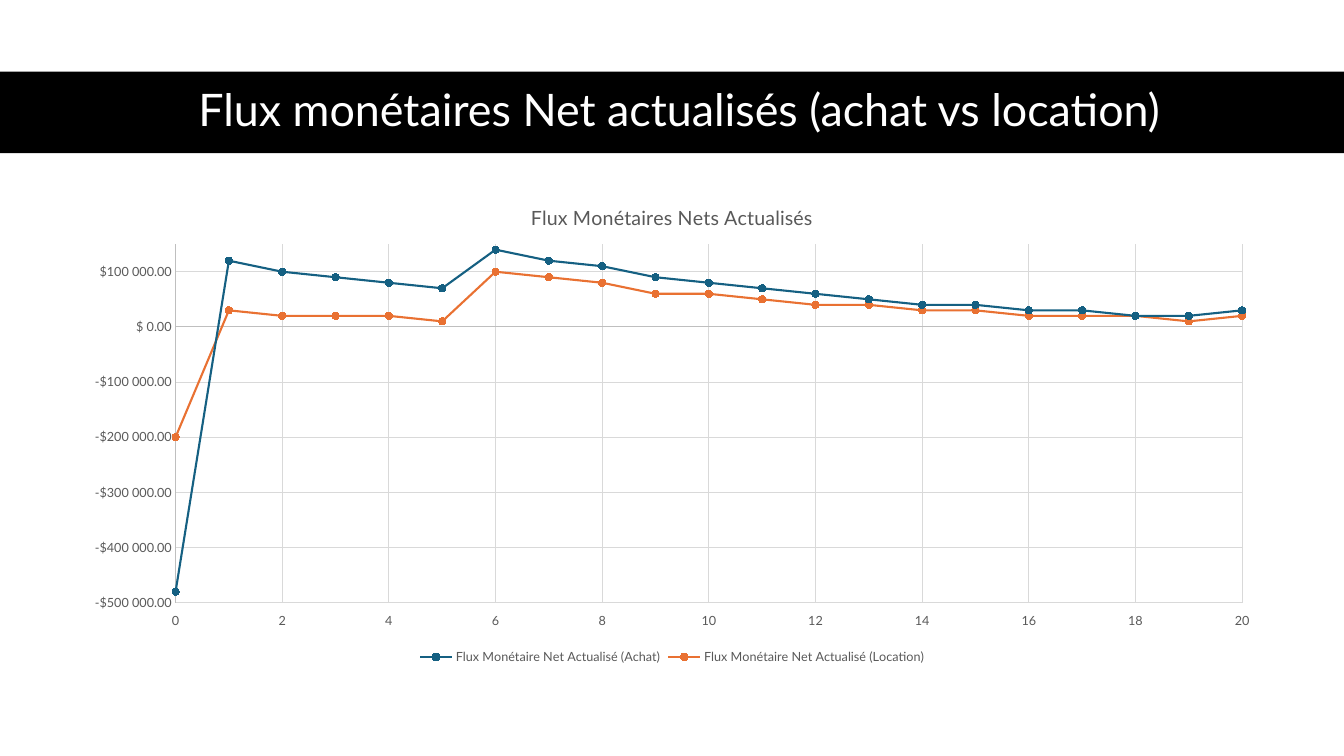
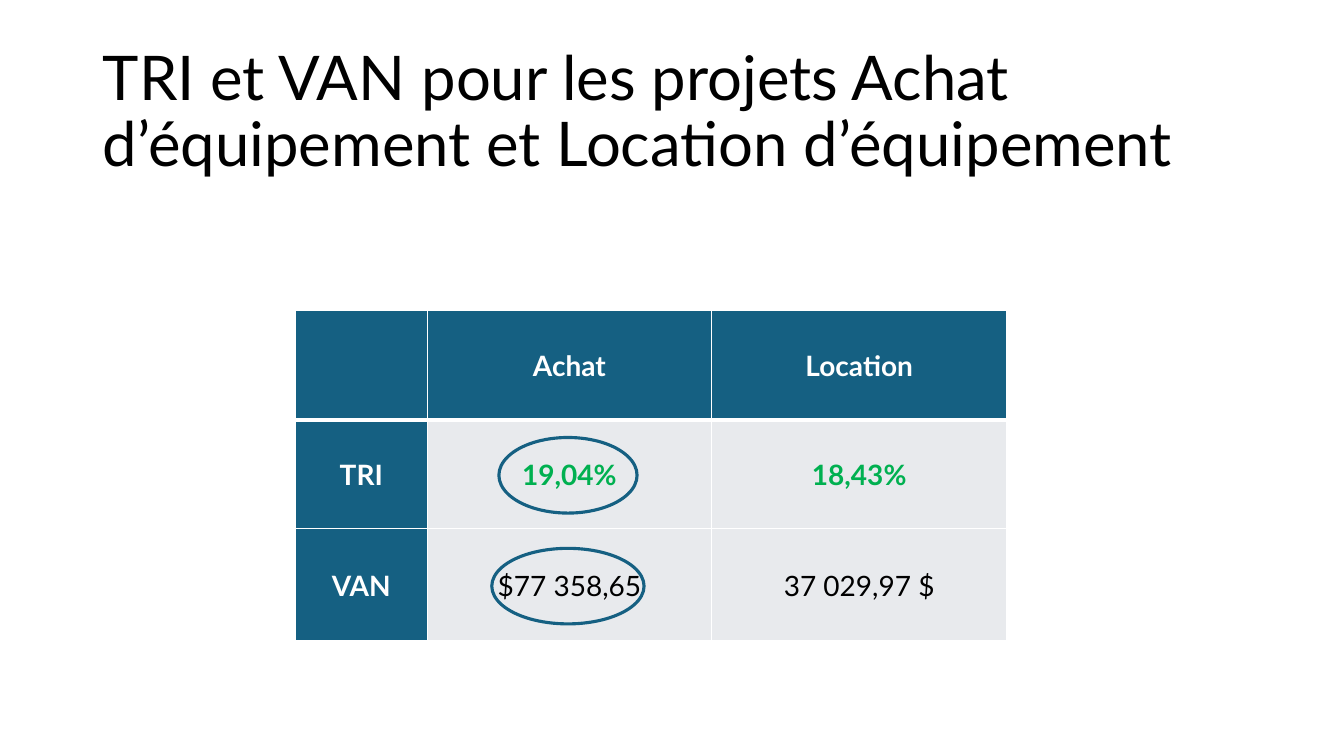
from dataclasses import dataclass

from lxml.etree import SubElement
from pptx import Presentation
from pptx.chart.data import XyChartData
from pptx.dml.color import RGBColor
from pptx.enum.chart import (XL_CHART_TYPE, XL_LEGEND_POSITION, XL_MARKER_STYLE,
                             XL_TICK_LABEL_POSITION, XL_TICK_MARK)
from pptx.enum.shapes import MSO_SHAPE
from pptx.enum.text import MSO_ANCHOR, PP_ALIGN
from pptx.oxml import parse_xml
from pptx.oxml.ns import nsdecls, qn
from pptx.util import Inches, Pt

SLIDE_WIDTH = Inches(13.33)
SLIDE_HEIGHT = Inches(7.5)
FONT = "Lato"
BLACK = RGBColor(0x00, 0x00, 0x00)
WHITE = RGBColor(0xFF, 0xFF, 0xFF)
BLUE = RGBColor(0x15, 0x60, 0x82)
ORANGE = RGBColor(0xE9, 0x71, 0x32)
GREEN = RGBColor(0x00, 0xB0, 0x50)
PALE = RGBColor(0xE8, 0xEA, 0xED)
GRAY = RGBColor(0x59, 0x59, 0x59)
AXIS_GRAY = RGBColor(0xBF, 0xBF, 0xBF)
GRID_GRAY = RGBColor(0xD9, 0xD9, 0xD9)
MONEY_FORMAT = '"$"# ##0.00;-"$"# ##0.00'


@dataclass(frozen=True)
class Box:
    """Position and size in percent of the slide."""
    left: float
    top: float
    width: float
    height: float

    def lengths(self) -> tuple:
        return (int(SLIDE_WIDTH * self.left / 100), int(SLIDE_HEIGHT * self.top / 100),
                int(SLIDE_WIDTH * self.width / 100), int(SLIDE_HEIGHT * self.height / 100))


@dataclass(frozen=True)
class CashFlow:
    name: str
    color: RGBColor
    ten_thousands: tuple


@dataclass(frozen=True)
class CellStyle:
    fill: RGBColor
    color: RGBColor
    bold: bool


@dataclass(frozen=True)
class Ring:
    middle: float
    width: float


BAND = Box(0, 9.47, 100, 10.8)
BAND_TITLE = Box(4.58, 9.43, 91.97, 10.8)
CHART = Box(5.25, 24.35, 89.5, 64.13)
PLOT_PERCENT = {"x": 8.73, "y": 12.4, "w": 88.67, "h": 73.95}
PLAIN_TITLE = Box(6.9, 5.33, 86.25, 19.33)
TABLE = Box(21.97, 41.07, 52.95, 43.73)
COLUMN_WEIGHTS = (131, 282, 293)
ROW_WEIGHTS = (108, 108, 111)
RING_CENTER = 42.26
RING_HEIGHT = 10
RINGS = (Ring(62.87, 10.28), Ring(77.53, 11.33))

CASH_FLOWS = (
    CashFlow("Flux Monétaire Net Actualisé (Achat)", BLUE,
             (-48, 12, 10, 9, 8, 7, 14, 12, 11, 9, 8, 7, 6, 5, 4, 4, 3, 3, 2, 2, 3)),
    CashFlow("Flux Monétaire Net Actualisé (Location)", ORANGE,
             (-20, 3, 2, 2, 2, 1, 10, 9, 8, 6, 6, 5, 4, 4, 3, 3, 2, 2, 2, 1, 2)),
)

HEADER = CellStyle(BLUE, WHITE, True)
RATE = CellStyle(PALE, GREEN, True)
AMOUNT = CellStyle(PALE, BLACK, False)
CELLS = (
    (("", HEADER), ("Achat", HEADER), ("Location", HEADER)),
    (("TRI", HEADER), ("19,04%", RATE), ("18,43%", RATE)),
    (("VAN", HEADER), ("$77 358,65", AMOUNT), ("37 029,97 $", AMOUNT)),
)


def set_font(font, size: float, color: RGBColor, bold: bool = False) -> None:
    font.name = FONT
    font.size = Pt(size)
    font.bold = bold
    font.color.rgb = color


def set_line(line, color: RGBColor, width: float) -> None:
    line.color.rgb = color
    line.width = Pt(width)


def add_title(slide, box: Box, text: str, size: float, color: RGBColor,
              alignment: PP_ALIGN) -> None:
    frame = slide.shapes.add_textbox(*box.lengths()).text_frame
    frame.word_wrap = True
    frame.vertical_anchor = MSO_ANCHOR.MIDDLE
    frame.text = text
    for paragraph in frame.paragraphs:
        paragraph.alignment = alignment
        paragraph.line_spacing = 0.9
        set_font(paragraph.font, size, color)


def add_plain_shape(slide, kind: MSO_SHAPE, box: Box):
    shape = slide.shapes.add_shape(kind, *box.lengths())
    shape.shadow.inherit = False
    return shape


def style_axis(axis, low: float, high: float, step: float, number_format: str,
               label_position: XL_TICK_LABEL_POSITION) -> None:
    axis.minimum_scale = low
    axis.maximum_scale = high
    axis.major_unit = step
    axis.major_tick_mark = XL_TICK_MARK.NONE
    axis.minor_tick_mark = XL_TICK_MARK.NONE
    axis.tick_label_position = label_position
    axis.tick_labels.number_format = number_format
    axis.tick_labels.number_format_is_linked = False
    set_font(axis.tick_labels.font, 9, GRAY)
    set_line(axis.format.line, AXIS_GRAY, 0.75)
    axis.has_major_gridlines = True
    set_line(axis.major_gridlines.format.line, GRID_GRAY, 0.75)


def place_plot(chart) -> None:
    plot_area = chart.element.find(".//" + qn("c:plotArea"))
    for layout in plot_area.findall(qn("c:layout")):
        plot_area.remove(layout)
    layout = parse_xml(f"<c:layout {nsdecls('c')}><c:manualLayout/></c:layout>")
    settings = {"layoutTarget": "inner", "xMode": "edge", "yMode": "edge"}
    settings.update({name: percent / 100 for name, percent in PLOT_PERCENT.items()})
    for name, value in settings.items():
        SubElement(layout[0], qn(f"c:{name}")).set("val", str(value))
    plot_area.insert(0, layout)


def add_cash_flow_chart(slide) -> None:
    data = XyChartData(number_format=MONEY_FORMAT)
    for flow in CASH_FLOWS:
        series = data.add_series(flow.name)
        for year, ten_thousands in enumerate(flow.ten_thousands):
            series.add_data_point(year, ten_thousands * 10000)
    chart = slide.shapes.add_chart(XL_CHART_TYPE.XY_SCATTER_LINES, *CHART.lengths(), data).chart
    set_font(chart.font, 10, BLACK)
    chart.has_title = True
    chart.chart_title.include_in_layout = False
    title = chart.chart_title.text_frame
    title.text = "Flux Monétaires Nets Actualisés"
    set_font(title.paragraphs[0].font, 14, GRAY)
    chart.has_legend = True
    chart.legend.position = XL_LEGEND_POSITION.BOTTOM
    chart.legend.include_in_layout = False
    set_font(chart.legend.font, 9, GRAY)
    style_axis(chart.category_axis, 0, 20, 2, "General", XL_TICK_LABEL_POSITION.LOW)
    style_axis(chart.value_axis, -500000, 150000, 100000, MONEY_FORMAT,
               XL_TICK_LABEL_POSITION.NEXT_TO_AXIS)
    chart.plots[0].vary_by_categories = False
    for series, flow in zip(chart.plots[0].series, CASH_FLOWS):
        series.smooth = False
        set_line(series.format.line, flow.color, 1.5)
        series.marker.style = XL_MARKER_STYLE.CIRCLE
        series.marker.size = 5
        series.marker.format.fill.solid()
        series.marker.format.fill.fore_color.rgb = flow.color
        set_line(series.marker.format.line, flow.color, 0.75)
    place_plot(chart)


def set_borders(cell, top: float, bottom: float) -> None:
    properties = cell._tc.get_or_add_tcPr()
    for index, (side, width) in enumerate((("L", 1), ("R", 1), ("T", top), ("B", bottom))):
        border = parse_xml(
            f'<a:ln{side} {nsdecls("a")} w="{Pt(width)}"><a:solidFill>'
            f'<a:srgbClr val="{WHITE}"/></a:solidFill></a:ln{side}>')
        properties.insert(index, border)


def fill_cell(cell, text: str, style: CellStyle) -> None:
    cell.fill.solid()
    cell.fill.fore_color.rgb = style.fill
    cell.vertical_anchor = MSO_ANCHOR.MIDDLE
    cell.margin_left = cell.margin_right = cell.margin_top = Inches(0.01)
    cell.margin_bottom = 0
    cell.text = text
    paragraph = cell.text_frame.paragraphs[0]
    paragraph.alignment = PP_ALIGN.CENTER
    set_font(paragraph.font, 20, style.color, style.bold)


def add_results_table(slide) -> None:
    left, top, width, height = TABLE.lengths()
    table = slide.shapes.add_table(len(CELLS), len(CELLS[0]), left, top, width, height).table
    for column, weight in zip(table.columns, COLUMN_WEIGHTS):
        column.width = width * weight // sum(COLUMN_WEIGHTS)
    for row, weight in zip(table.rows, ROW_WEIGHTS):
        row.height = height * weight // sum(ROW_WEIGHTS)
    for row_index, row in enumerate(CELLS):
        for column_index, (text, style) in enumerate(row):
            cell = table.cell(row_index, column_index)
            fill_cell(cell, text, style)
            set_borders(cell, 3 if row_index == 1 else 1, 3 if row_index == 0 else 1)


def add_ring(slide, ring: Ring) -> None:
    box = Box(RING_CENTER - ring.width / 2, ring.middle - RING_HEIGHT / 2,
              ring.width, RING_HEIGHT)
    shape = add_plain_shape(slide, MSO_SHAPE.OVAL, box)
    shape.fill.background()
    set_line(shape.line, BLUE, 2.25)


def build_chart_slide(slide) -> None:
    band = add_plain_shape(slide, MSO_SHAPE.RECTANGLE, BAND)
    band.fill.solid()
    band.fill.fore_color.rgb = BLACK
    band.line.fill.background()
    add_title(slide, BAND_TITLE, "Flux monétaires Net actualisés (achat vs location)",
              32, WHITE, PP_ALIGN.CENTER)
    add_cash_flow_chart(slide)


def build_table_slide(slide) -> None:
    add_title(slide, PLAIN_TITLE,
              "TRI et VAN pour les projets Achat\nd’équipement et Location d’équipement",
              44, BLACK, PP_ALIGN.LEFT)
    add_results_table(slide)
    for ring in RINGS:
        add_ring(slide, ring)


def main() -> None:
    presentation = Presentation()
    presentation.slide_width = SLIDE_WIDTH
    presentation.slide_height = SLIDE_HEIGHT
    for build in (build_chart_slide, build_table_slide):
        build(presentation.slides.add_slide(presentation.slide_layouts[6]))
    presentation.save("out.pptx")


if __name__ == "__main__":
    main()
